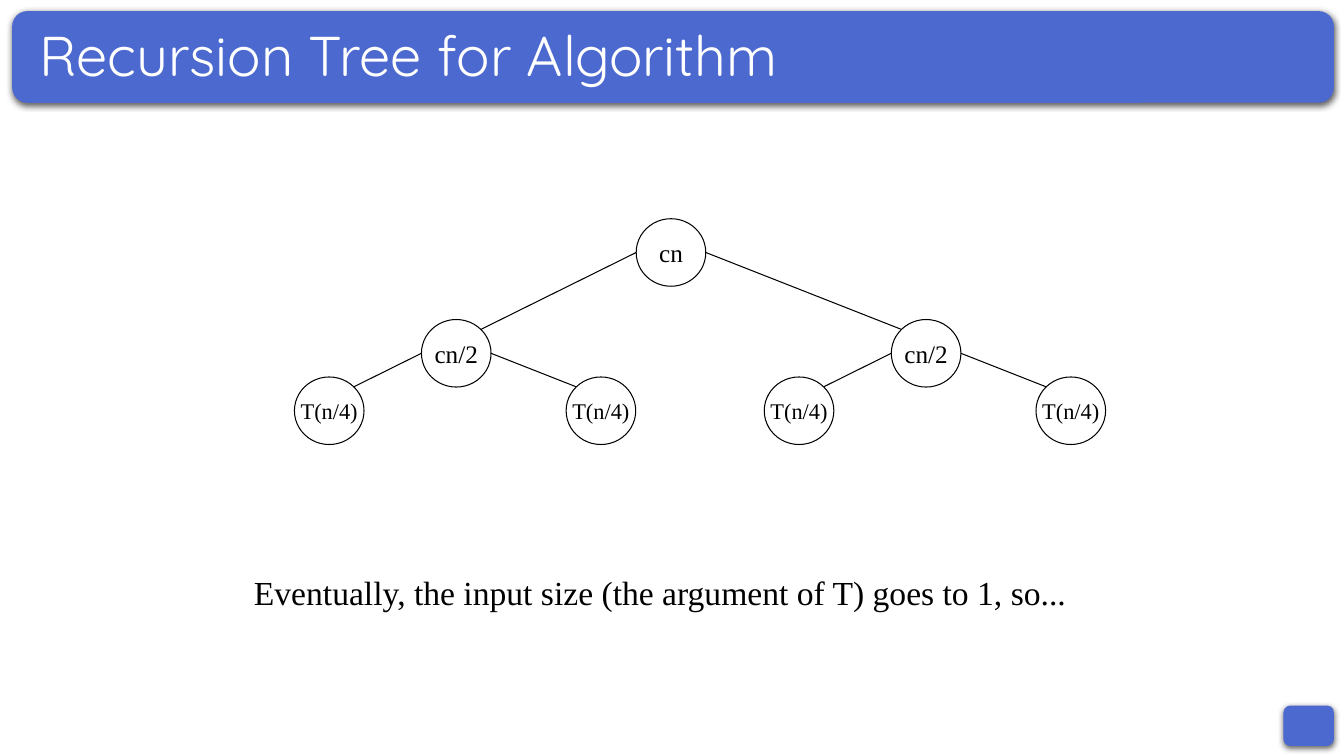
from math import sqrt

from lxml import etree
from pptx import Presentation
from pptx.dml.color import RGBColor
from pptx.enum import shapes, text
from pptx.oxml import ns
from pptx.util import Inches, Pt

BLUE = RGBColor(0x4C, 0x69, 0xD0)
WHITE = RGBColor(0xFF, 0xFF, 0xFF)
BLACK = RGBColor(0, 0, 0)
SERIF = "Times New Roman"
NODE_W, NODE_H = 0.69, 0.67
SUBTREE_LEFTS = (4.18, 8.84)
LEAF_OFFSETS = (-1.26, 1.435)


def add_effects(part):
    """Give a shape or connector an empty effect list and return it."""
    return etree.SubElement(part._element.spPr, ns.qn("a:effectLst"))


def write(frame, words, size, font, color):
    """Put one run of text in a frame and return its paragraph."""
    paragraph = frame.paragraphs[0]
    run = paragraph.add_run()
    run.text = words
    run.font.size = Pt(size)
    run.font.name = font
    run.font.color.rgb = color
    return paragraph


def add_panel(slide, left, top, width, height):
    """Draw a blue rounded panel with a soft shadow below it."""
    panel = slide.shapes.add_shape(
        shapes.MSO_SHAPE.ROUNDED_RECTANGLE,
        Inches(left), Inches(top), Inches(width), Inches(height))
    panel.fill.solid()
    panel.fill.fore_color.rgb = BLUE
    panel.line.fill.background()
    shadow = etree.SubElement(
        add_effects(panel), ns.qn("a:outerShdw"), blurRad=str(Pt(4.5)),
        dist=str(Pt(1.5)), dir="5400000", algn="ctr", rotWithShape="0")
    tint = etree.SubElement(shadow, ns.qn("a:srgbClr"), val=str(BLACK))
    etree.SubElement(tint, ns.qn("a:alpha"), val="63000")


def add_words(slide, left, top, width, height, words, size, font, color):
    """Add a wrapping text box and return its frame."""
    box = slide.shapes.add_textbox(
        Inches(left), Inches(top), Inches(width), Inches(height))
    box.text_frame.word_wrap = True
    write(box.text_frame, words, size, font, color)
    return box.text_frame


def add_header(slide, left, top, width, height):
    """Draw the title bar and its title."""
    add_panel(slide, left, top, width, height)
    title = add_words(slide, left + 0.17, top + 0.14, width - 0.35, 0.65,
                      "Recursion Tree for Algorithm", 40, "Quicksand", WHITE)
    title.vertical_anchor = text.MSO_ANCHOR.MIDDLE
    title.paragraphs[0].line_spacing = 0.9


def add_node(slide, left, top, cost, size):
    """Draw one round tree node with its cost."""
    node = slide.shapes.add_shape(
        shapes.MSO_SHAPE.OVAL,
        Inches(left), Inches(top), Inches(NODE_W), Inches(NODE_H))
    node.fill.background()
    node.line.color.rgb = BLACK
    node.line.width = Pt(0.75)
    node.shadow.inherit = False
    frame = node.text_frame
    frame.word_wrap = False
    frame.vertical_anchor = text.MSO_ANCHOR.MIDDLE
    write(frame, cost, size, SERIF, BLACK).alignment = text.PP_ALIGN.CENTER


def add_branch(slide, parent_left, parent_top, child_left, child_top):
    """Join a parent's side to the facing upper shoulder of its child."""
    side = 1 if child_left > parent_left else -1
    start_x = parent_left + NODE_W / 2 * (1 + side)
    end_x = child_left + NODE_W / 2 * (1 - side / sqrt(2))
    end_y = child_top + NODE_H / 2 * (1 - 1 / sqrt(2))
    branch = slide.shapes.add_connector(
        shapes.MSO_CONNECTOR.STRAIGHT,
        Inches(start_x), Inches(parent_top + NODE_H / 2),
        Inches(end_x), Inches(end_y))
    branch.line.color.rgb = BLACK
    branch.line.width = Pt(0.75)
    add_effects(branch)


def add_tree(slide, root_left, root_top):
    """Draw the three levels of the recursion tree."""
    half_top, leaf_top = root_top + 1, root_top + 1.57
    add_node(slide, root_left, root_top, "cn", 18)
    for half_left in SUBTREE_LEFTS:
        add_branch(slide, root_left, root_top, half_left, half_top)
        add_node(slide, half_left, half_top, "cn/2", 18)
        for offset in LEAF_OFFSETS:
            leaf_left = half_left + offset
            add_branch(slide, half_left, half_top, leaf_left, leaf_top)
            add_node(slide, leaf_left, leaf_top, "T(n/4)", 16)


def main():
    """Build and save the slide."""
    deck = Presentation()
    deck.slide_width, deck.slide_height = Inches(13.33), Inches(7.5)
    slide = deck.slides.add_slide(deck.slide_layouts[6])
    add_panel(slide, 12.73, 7, 0.5, 0.4)
    add_header(slide, 0.12, 0.11, 13.11, 0.91)
    add_tree(slide, 6.31, 2.17)
    add_words(slide, 2.42, 5.62, 8.75, 0.5,
              "Eventually, the input size (the argument of T) goes to 1, so...",
              24, SERIF, BLACK)
    deck.save("out.pptx")


if __name__ == "__main__":
    main()
